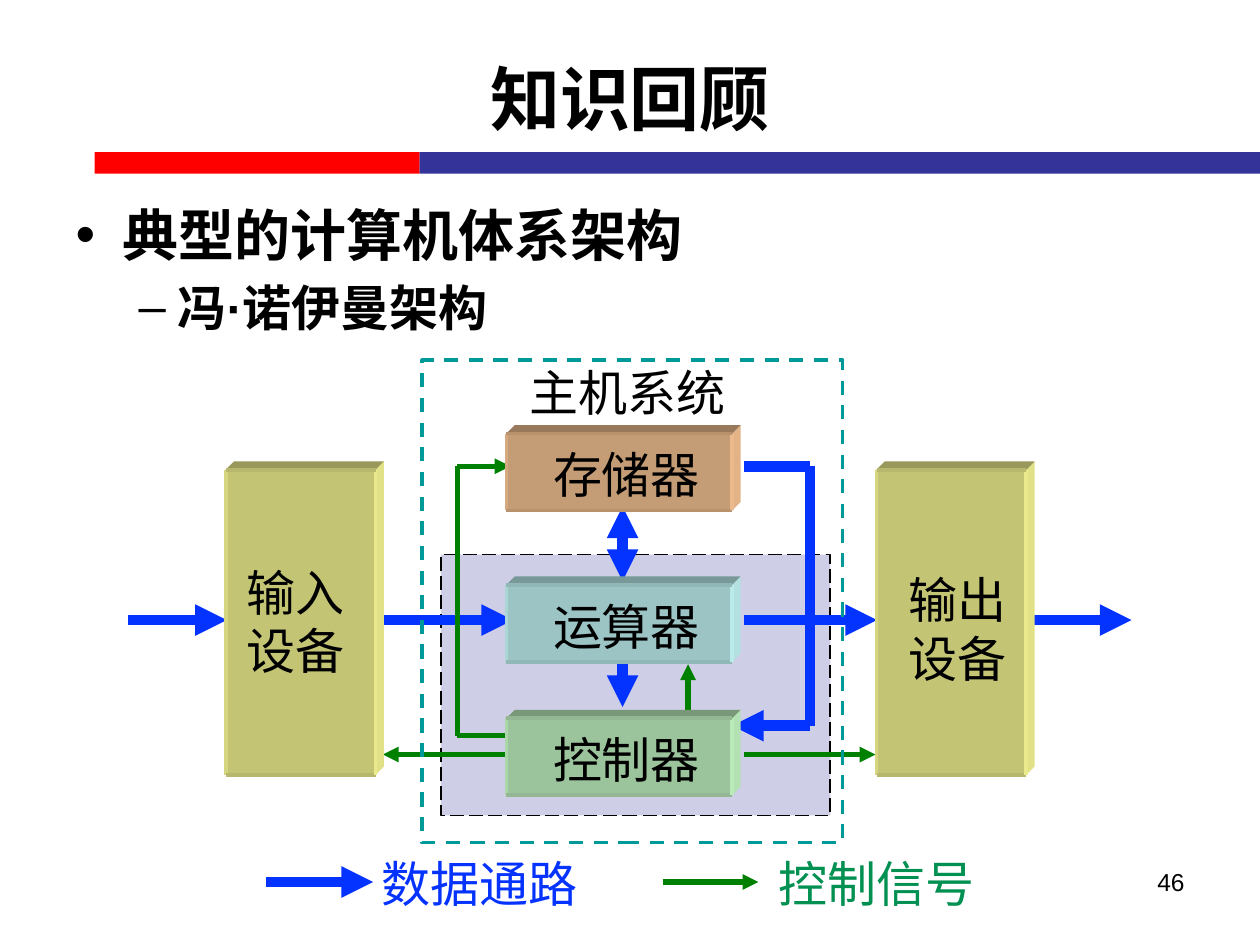
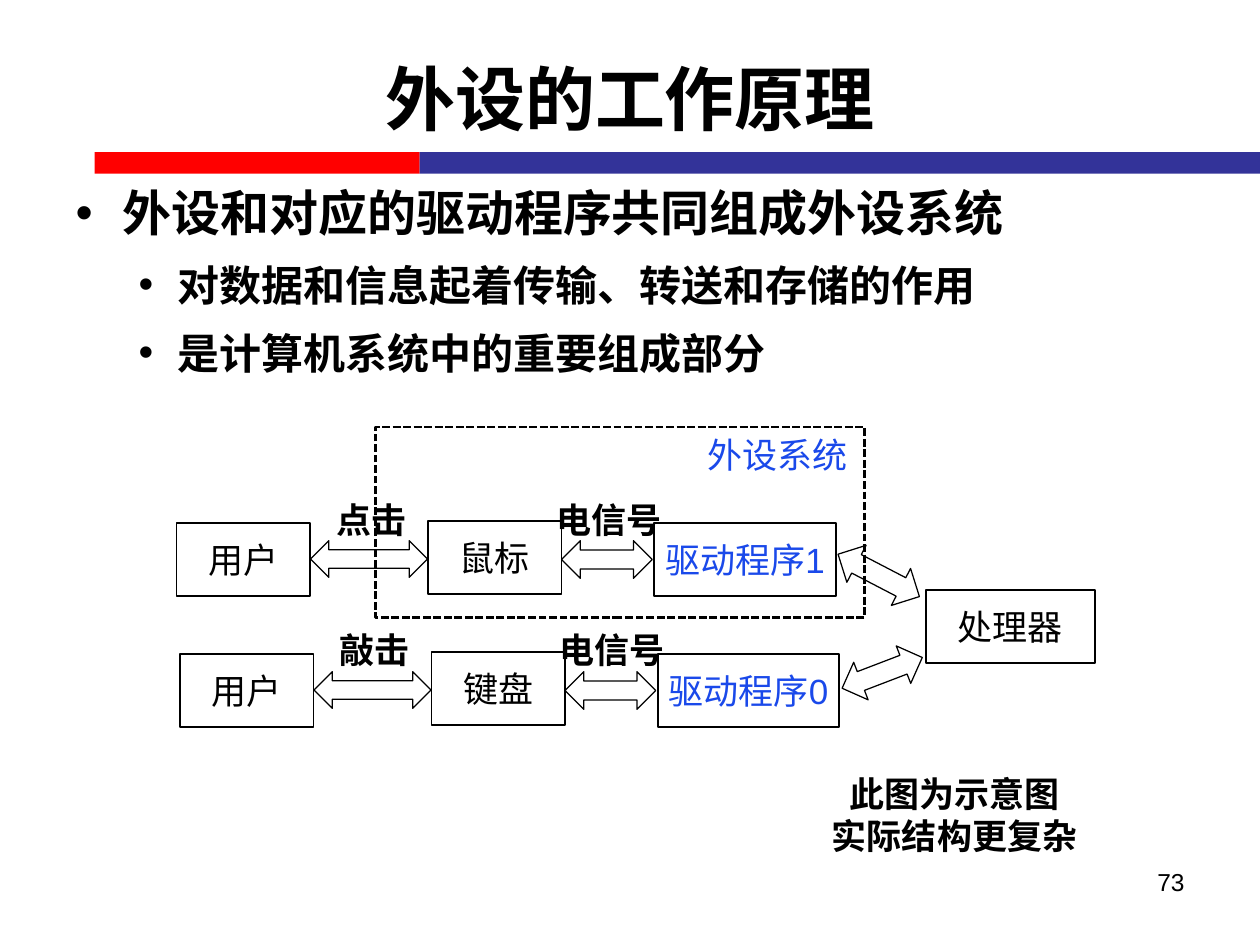
import pptx
import pptx.dml.color
import pptx.enum.dml
import pptx.enum.shapes
import pptx.enum.text
import pptx.oxml.ns
import pptx.util
from lxml import etree

Cm = pptx.util.Cm
Pt = pptx.util.Pt
SHAPE = pptx.enum.shapes.MSO_SHAPE
DASH = pptx.enum.dml.MSO_LINE
ALIGN = pptx.enum.text.PP_ALIGN
ANCHOR = pptx.enum.text.MSO_ANCHOR
qn = pptx.oxml.ns.qn

COLORS = {
    "text": "000000", "red band": "FF0000", "blue band": "333399",
    "data": "0432FF", "control": "008000", "control label": "009051",
    "host": "009999", "driver": "1A49EA", "memory": "C49C75",
    "device": "C4C475", "arithmetic": "9CC4C4", "controller": "9CC49C",
}
# Brightness of each part of a raised block, relative to its front
SIDE, ROOF, LEFT_EDGE, LOW_EDGE, RIGHT_EDGE = 1.15, 0.776, 1.092, 0.934, 1.194
DEPTH = 0.17
CJK_FONT = "Noto Sans CJK SC"


def rgb(color):
    return pptx.dml.color.RGBColor.from_string(color)


def shade(color, factor):
    channels = (int(color[i:i + 2], 16) for i in (0, 2, 4))
    return "".join(f"{min(255, round(value * factor)):02X}" for value in channels)


def add_span(para, text, size, color="text", font="Arial", bold=False):
    span = para.add_run()
    span.text = text
    span.font.size = Pt(size)
    span.font.bold = bold
    span.font.color.rgb = rgb(COLORS[color])
    span.font.name = font
    etree.SubElement(span.font._element, qn("a:ea")).set("typeface", CJK_FONT)


def write_lines(shape, lines, size, align=ALIGN.CENTER, inset=(0.25, 0.13), **style):
    frame = shape.text_frame
    frame.word_wrap = True
    frame.margin_left = frame.margin_right = Cm(inset[0])
    frame.margin_top = frame.margin_bottom = Cm(inset[1])
    for index, line in enumerate(lines):
        para = frame.add_paragraph() if index else frame.paragraphs[0]
        para.alignment = align
        add_span(para, line, size, **style)


def add_label(page, area, lines, size, **style):
    box = page.shapes.add_textbox(*map(Cm, area))
    write_lines(box, lines, size, **style)


def paint(shape, fill=None, line=None, width=1.0, dash=None):
    shape.shadow.inherit = False
    if fill:
        shape.fill.solid()
        shape.fill.fore_color.rgb = rgb(fill)
    else:
        shape.fill.background()
    if line:
        shape.line.color.rgb = rgb(line)
        shape.line.width = Pt(width)
        if dash:
            shape.line.dash_style = dash
    else:
        shape.line.fill.background()


def add_preset(page, kind, area, **look):
    shape = page.shapes.add_shape(kind, *map(Cm, area))
    paint(shape, **look)
    return shape


def add_polygon(page, points, fill):
    start, *others = [(Cm(x), Cm(y)) for x, y in points]
    builder = page.shapes.build_freeform(*start)
    builder.add_line_segments(others, close=True)
    paint(builder.convert_to_shape(), fill=fill)


def add_line(page, start, end, color, width, head=False, tail=False):
    line = page.shapes.add_connector(
        pptx.enum.shapes.MSO_CONNECTOR.STRAIGHT, *map(Cm, (*start, *end)))
    line.line.color.rgb = rgb(color)
    line.line.width = Pt(width)
    outline = line.line._get_or_add_ln()
    for tag, wanted in (("a:headEnd", head), ("a:tailEnd", tail)):
        if wanted:
            etree.SubElement(outline, qn(tag)).set("type", "triangle")
    etree.SubElement(line._element.spPr, qn("a:effectLst"))


def add_route(page, signal, *points, both_ways=False):
    """Draw a path of straight pieces with an arrowhead at its last point."""
    width = {"data": 6, "control": 3}[signal]
    last = len(points) - 2
    for index, (start, end) in enumerate(zip(points, points[1:])):
        add_line(page, start, end, COLORS[signal], width,
                 head=both_ways, tail=index == last)


def add_block(page, area, color):
    """Draw a raised block; area is its front face."""
    left, top, width, height = area
    right, bottom = left + width, top + height
    base = COLORS[color]
    add_polygon(page, [(right, bottom), (right, top), (right + DEPTH, top - DEPTH),
                       (right + DEPTH, bottom - DEPTH)], shade(base, SIDE))
    add_polygon(page, [(right, top), (left, top), (left + DEPTH, top - DEPTH),
                       (right + DEPTH, top - DEPTH)], shade(base, ROOF))
    add_preset(page, SHAPE.RECTANGLE, area, fill=base)
    corners = [(left, top), (left, bottom), (right, bottom), (right, top), (left, top)]
    factors = (LEFT_EDGE, LOW_EDGE, RIGHT_EDGE, LOW_EDGE)
    for start, end, factor in zip(corners, corners[1:], factors):
        add_line(page, start, end, shade(base, factor), 2.13)


def place(holder, area):
    holder.left, holder.top, holder.width, holder.height = map(Cm, area)
    holder.text_frame.auto_size = pptx.enum.text.MSO_AUTO_SIZE.NONE


def set_bullet(para, mark, left, hanging):
    props = para._p.get_or_add_pPr()
    props.set("marL", str(Cm(left)))
    props.set("indent", str(-Cm(hanging)))
    etree.SubElement(props, qn("a:buChar")).set("char", mark)


def add_page(deck, title, number):
    page = deck.slides.add_slide(deck.slide_layouts[1])
    heading = page.shapes.title
    place(heading, (1.27, 0.38, 22.86, 3.18))
    heading.text_frame.vertical_anchor = ANCHOR.MIDDLE
    write_lines(heading, [title], 40, bold=True)
    for color, left, width in (("red band", 1.91, 6.55), ("blue band", 8.46, 16.94)):
        add_preset(page, SHAPE.RECTANGLE, (left, 3.07, width, 0.43), fill=COLORS[color])
    add_label(page, (18.21, 17.35, 5.92, 1.32), [number], 14, align=ALIGN.RIGHT)
    return page


def fill_body(page, area, items, sizes, marks, gap):
    """Write (level, text) items as a bulleted list."""
    body = page.placeholders[1]
    place(body, area)
    for index, (level, text) in enumerate(items):
        para = body.text_frame.add_paragraph() if index else body.text_frame.paragraphs[0]
        para.level = level
        set_bullet(para, marks[level], *((0.95, 0.95), (2.06, 0.79))[level])
        para.space_before = Pt(gap if index else 0)
        add_span(para, text, sizes[level], bold=True)


def draw_signals(page):
    row = 12.5
    for start, end in ((2.59, 4.57), (7.52, 10.34), (14.99, 17.68), (20.83, 22.81)):
        add_route(page, "data", (start, row), (end, row))
    add_route(page, "data", (12.55, 11.71), (12.55, 10.21), both_ways=True)
    add_route(page, "data", (12.55, 13.26), (12.55, 14.25))
    add_route(page, "data", (14.99, 9.4), (16.33, 9.4), (16.33, 14.63), (14.76, 14.63))
    add_route(page, "control", (13.87, 14.35), (13.87, 13.39))
    add_route(page, "control", (10.34, 15.21), (7.72, 15.21))
    add_route(page, "control", (14.99, 15.21), (17.65, 15.21))
    add_route(page, "control", (10.34, 14.83), (9.22, 14.83), (9.22, 9.4), (10.29, 9.4))


def draw_architecture(page):
    cpu = add_preset(page, SHAPE.RECTANGLE, (8.89, 11.18, 7.85, 5.26),
                     fill=COLORS["blue band"], line=COLORS["text"], dash=DASH.LONG_DASH)
    tint = cpu._element.spPr.find(qn("a:solidFill"))[0]
    etree.SubElement(tint, qn("a:alpha")).set("val", "24000")
    draw_signals(page)
    add_preset(page, SHAPE.RECTANGLE, (8.51, 7.26, 8.48, 9.73),
               line=COLORS["host"], width=2, dash=DASH.DASH)
    add_label(page, (10.36, 7.16, 4.57, 1.47), ["主机系统"], 28,
              inset=(0.25, 0.15), font="Times New Roman")

    plain = {"align": ALIGN.LEFT, "inset": (0, 0), "font": CJK_FONT}
    for text, top, color in (("存储器", 8.74, "memory"), ("运算器", 11.79, "arithmetic"),
                             ("控制器", 14.48, "controller")):
        add_block(page, (10.21, top, 4.55, 1.55), color)
        add_label(page, (11.15, top + 0.23, 3.2, 1.19), [text], 28, **plain)
    for text, left, label_left, label_top in (("输入", 4.55, 4.98, 11.33),
                                              ("输出", 17.67, 18.31, 11.48)):
        add_block(page, (left, 9.47, 3.02, 6.15), "device")
        add_label(page, (label_left, label_top, 2.1, 2.39), [text, "设备"], 28, **plain)

    for text, signal, color, start, end, left in (
            ("数据通路", "data", "data", 5.36, 7.52, 7.7),
            ("控制信号", "control", "control label", 13.36, 15.29, 15.7)):
        add_route(page, signal, (start, 17.78), (end, 17.78))
        add_label(page, (left, 17.2, 4.27, 1.19), [text], 28, color=color, **plain)


def add_node(page, area, text, **style):
    node = add_preset(page, SHAPE.RECTANGLE, area, line=COLORS["text"])
    node.text_frame.vertical_anchor = ANCHOR.MIDDLE
    write_lines(node, [text], 20, **style)


def add_exchange(page, area, angle=0):
    arrow = add_preset(page, SHAPE.LEFT_RIGHT_ARROW, area, line=COLORS["text"], width=0.7)
    arrow.rotation = angle


def add_device_row(page, left, top, action, device, driver):
    """Draw the chain from a user through a device to its driver."""
    add_node(page, (left, top, 2.69, 1.47), "用户")
    add_node(page, (left + 5.07, top - 0.03, 2.69, 1.47), device)
    add_node(page, (left + 9.63, top, 3.66, 1.47), driver, color="driver", inset=(0, 0.13))
    add_exchange(page, (left + 2.7, top + 0.36, 2.36, 0.74))
    add_exchange(page, (left + 7.76, top + 0.36, 1.83, 0.76))
    for text, offset in ((action, 0), ("电信号", 4.79)):
        add_label(page, (left + offset, top - 0.63, 7.85, 1.12), [text], 20, bold=True)


def draw_peripherals(page):
    add_device_row(page, 3.56, 10.54, "点击", "鼠标", "驱动程序1")
    add_device_row(page, 3.63, 13.18, "敲击", "键盘", "驱动程序0")
    add_node(page, (18.67, 11.89, 3.4, 1.47), "处理器")
    add_exchange(page, (16.79, 11.18, 1.85, 0.84), 27.5)
    add_exchange(page, (16.92, 13.16, 1.73, 0.81), 339)
    add_preset(page, SHAPE.RECTANGLE, (7.57, 8.61, 9.86, 3.84),
               line=COLORS["text"], width=1.5, dash=DASH.SQUARE_DOT)
    add_label(page, (14.02, 8.61, 3.43, 1.12), ["外设系统"], 20,
              align=ALIGN.LEFT, color="driver")
    add_label(page, (15.32, 15.44, 7.85, 1.96), ["此图为示意图", "实际结构更复杂"],
              20, bold=True)


def main():
    deck = pptx.Presentation()
    deck.slide_width, deck.slide_height = Cm(25.4), Cm(19.05)

    page = add_page(deck, "知识回顾", "46")
    fill_body(page, (1.27, 3.91, 22.86, 3.18),
              [(0, "典型的计算机体系架构"), (1, "冯·诺伊曼架构")],
              sizes=(32, 28), marks="•–", gap=5.6)
    draw_architecture(page)

    page = add_page(deck, "外设的工作原理", "73")
    fill_body(page, (1.27, 3.56, 22.86, 2.69),
              [(0, "外设和对应的驱动程序共同组成外设系统"),
               (1, "对数据和信息起着传输、转送和存储的作用"),
               (1, "是计算机系统中的重要组成部分")],
              sizes=(28, 24), marks="••", gap=10)
    draw_peripherals(page)

    deck.save("out.pptx")


if __name__ == "__main__":
    main()
